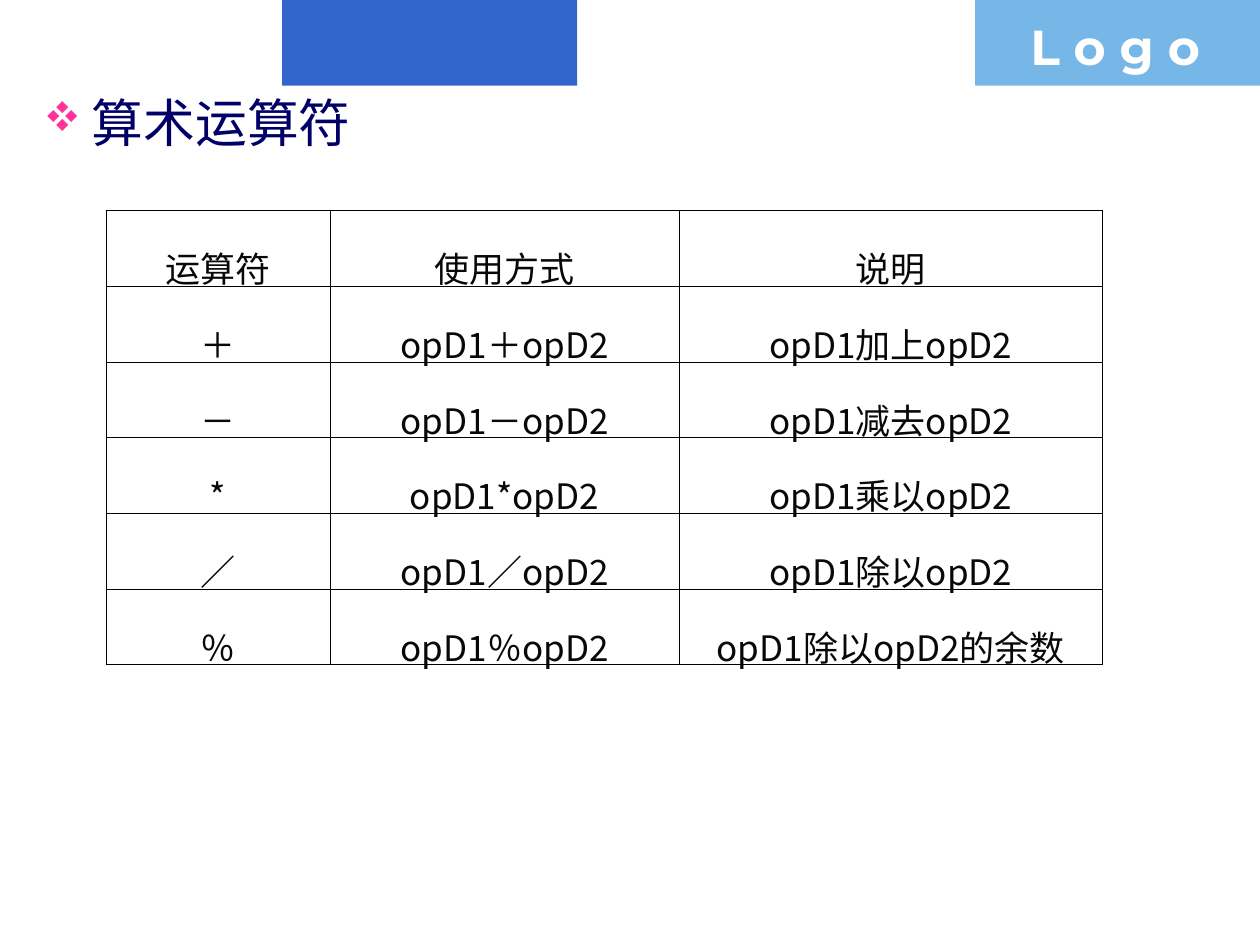
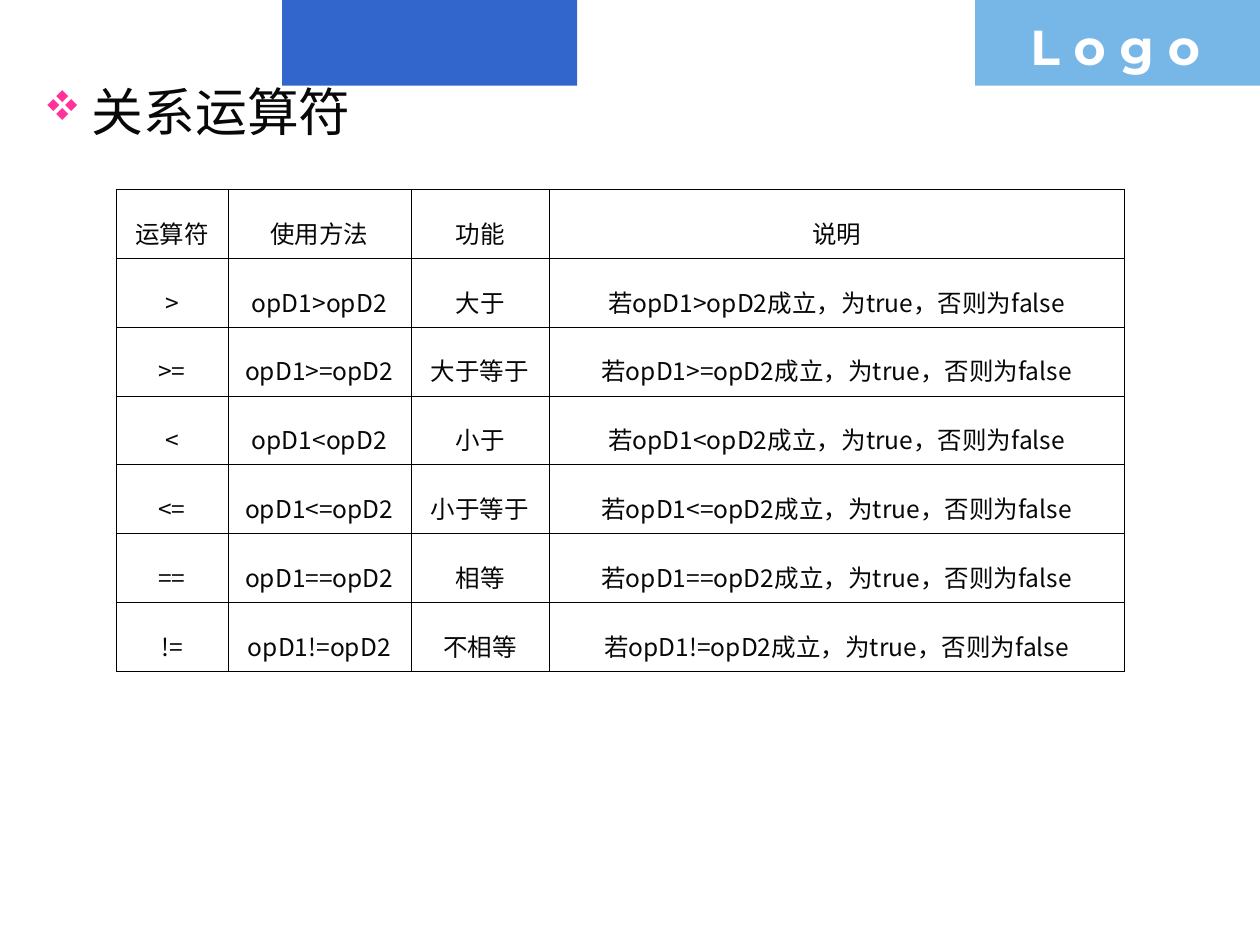
from dataclasses import dataclass
from typing import Any

import lxml.etree
import pptx
import pptx.dml.color
import pptx.enum.shapes
import pptx.enum.text
import pptx.oxml.ns
import pptx.util

Inches = pptx.util.Inches
Pt = pptx.util.Pt
qn = pptx.oxml.ns.qn
Anchor = pptx.enum.text.MSO_ANCHOR
Align = pptx.enum.text.PP_ALIGN


@dataclass(frozen=True)
class Theme:
    blue: str = "3366CC"
    sky: str = "77B7E7"
    white: str = "FFFFFF"
    navy: str = "000066"
    ink: str = "080808"
    pink: str = "FF3399"
    rule: str = "000000"
    line: float = 0.23
    body: str = "Noto Sans CJK SC"
    brand: str = "Montserrat"
    title: float = 29.6
    logo: float = 28


@dataclass(frozen=True)
class Box:
    left: float
    top: float
    width: float
    height: float

    def lengths(self) -> list[Any]:
        return [Inches(v) for v in (self.left, self.top, self.width, self.height)]


@dataclass(frozen=True)
class Band:
    box: Box
    fill: str


@dataclass(frozen=True)
class Grid:
    left: float
    top: float
    cols: list[float]
    height: float
    size: float
    anchor: Any
    cells: list[list[str]]


@dataclass(frozen=True)
class Page:
    title: str
    top: float
    color: str
    grid: Grid


THEME = Theme()
BANDS = [
    Band(Box(2.24, 0, 2.34, 0.68), THEME.blue),
    Band(Box(7.74, 0, 2.26, 0.68), THEME.sky),
]


# Helpers
def rgb(code: str) -> Any:
    return pptx.dml.color.RGBColor.from_string(code)


def style(item: Any, values: dict[str, Any]) -> None:
    for name, value in values.items():
        setattr(item, name, value)


def add(parent: Any, tag: str, **attrs: str) -> Any:
    return lxml.etree.SubElement(parent, qn(tag), attrs)


def write(para: Any, text: str, face: str, size: float, color: str,
          bold: bool = False) -> None:
    run = para.add_run()
    run.text = text
    style(run.font, {"name": face, "size": Pt(size), "bold": bold})
    run.font.color.rgb = rgb(color)
    add(run.font._element, "a:ea", typeface=face)


def add_box(slide: Any, box: Box) -> Any:
    frame = slide.shapes.add_textbox(*box.lengths()).text_frame
    frame.word_wrap = True
    return frame.paragraphs[0]


# Shared parts
def add_bands(slide: Any) -> None:
    kind = pptx.enum.shapes.MSO_SHAPE.RECTANGLE
    for band in BANDS:
        shape = slide.shapes.add_shape(kind, *band.box.lengths())
        shape.shadow.inherit = False
        shape.fill.solid()
        shape.fill.fore_color.rgb = rgb(band.fill)
        shape.line.fill.background()
    para = add_box(slide, Box(8.08, 0.08, 1.93, 0.57))
    write(para, "L o g o", THEME.brand, THEME.logo, THEME.white, True)


def add_title(slide: Any, page: Page) -> None:
    para = add_box(slide, Box(0.25, page.top, 9.5, 0.6))
    para.space_before = Pt(8)
    write(para, page.title, THEME.body, THEME.title, page.color)
    props = para._p.get_or_add_pPr()
    indent = Inches(0.38)
    props.set("marL", str(indent))
    props.set("indent", str(-indent))
    add(add(props, "a:buClr"), "a:srgbClr", val=THEME.pink)
    add(props, "a:buSzPct", val="80000")
    # In this symbol font the letter v is the four-diamond bullet
    add(props, "a:buFont", typeface="Wingdings", charset="2")
    add(props, "a:buChar", char="v")


# Tables
def add_rules(cell: Any) -> None:
    props = cell._tc.get_or_add_tcPr()
    for side in ("a:lnL", "a:lnR", "a:lnT", "a:lnB"):
        line = add(props, side, w=str(Pt(THEME.line)))
        add(add(line, "a:solidFill"), "a:srgbClr", val=THEME.rule)


def add_grid(slide: Any, grid: Grid) -> None:
    count = len(grid.cells)
    box = Box(grid.left, grid.top, sum(grid.cols), grid.height)
    table = slide.shapes.add_table(count, len(grid.cols), *box.lengths()).table
    style(table, {"first_row": False, "horz_banding": False})
    for col, width in zip(table.columns, grid.cols):
        col.width = Inches(width)
    gap = Pt(grid.size / 4)
    layout = {"alignment": Align.CENTER, "line_spacing": 1.5,
              "space_before": gap, "space_after": gap}
    for row, texts in zip(table.rows, grid.cells):
        row.height = Inches(grid.height / count)
        for cell, text in zip(row.cells, texts):
            add_rules(cell)
            cell.fill.background()
            cell.vertical_anchor = grid.anchor
            para = cell.text_frame.paragraphs[0]
            style(para, layout)
            write(para, text, THEME.body, grid.size, THEME.ink)


# Content: full-width signs are given by code point
def use(sign: str) -> str:
    return f"opD1{sign}opD2"


COMMA = "\uff0c"
MATH = [("\uff0b", "加上", ""), ("\uff0d", "减去", ""), ("*", "乘以", ""),
        ("\uff0f", "除以", ""), ("\uff05", "除以", "的余数")]
TESTS = [(">", "大于"), (">=", "大于等于"), ("<", "小于"),
         ("<=", "小于等于"), ("==", "相等"), ("!=", "不相等")]

math_rows = [["运算符", "使用方式", "说明"]] + [
    [sign, use(sign), use(verb) + tail] for sign, verb, tail in MATH]
test_rows = [["运算符", "使用方法", "功能", "说明"]] + [
    [sign, use(sign), name,
     COMMA.join([f"若{use(sign)}成立", "为true", "否则为false"])]
    for sign, name in TESTS]

PAGES = [
    Page("算术运算符", 0.67, THEME.navy,
         Grid(0.84, 1.67, [1.78, 2.77, 3.36], 3.6, 20, Anchor.TOP, math_rows)),
    Page("关系运算符", 0.58, THEME.ink,
         Grid(0.92, 1.5, [0.89, 1.45, 1.1, 4.56], 3.83, 14, Anchor.MIDDLE, test_rows)),
]

# Build
deck = pptx.Presentation()
style(deck, {"slide_width": Inches(10), "slide_height": Inches(7.5)})
for page in PAGES:
    slide = deck.slides.add_slide(deck.slide_layouts[6])
    add_bands(slide)
    add_title(slide, page)
    add_grid(slide, page.grid)
deck.save("out.pptx")
